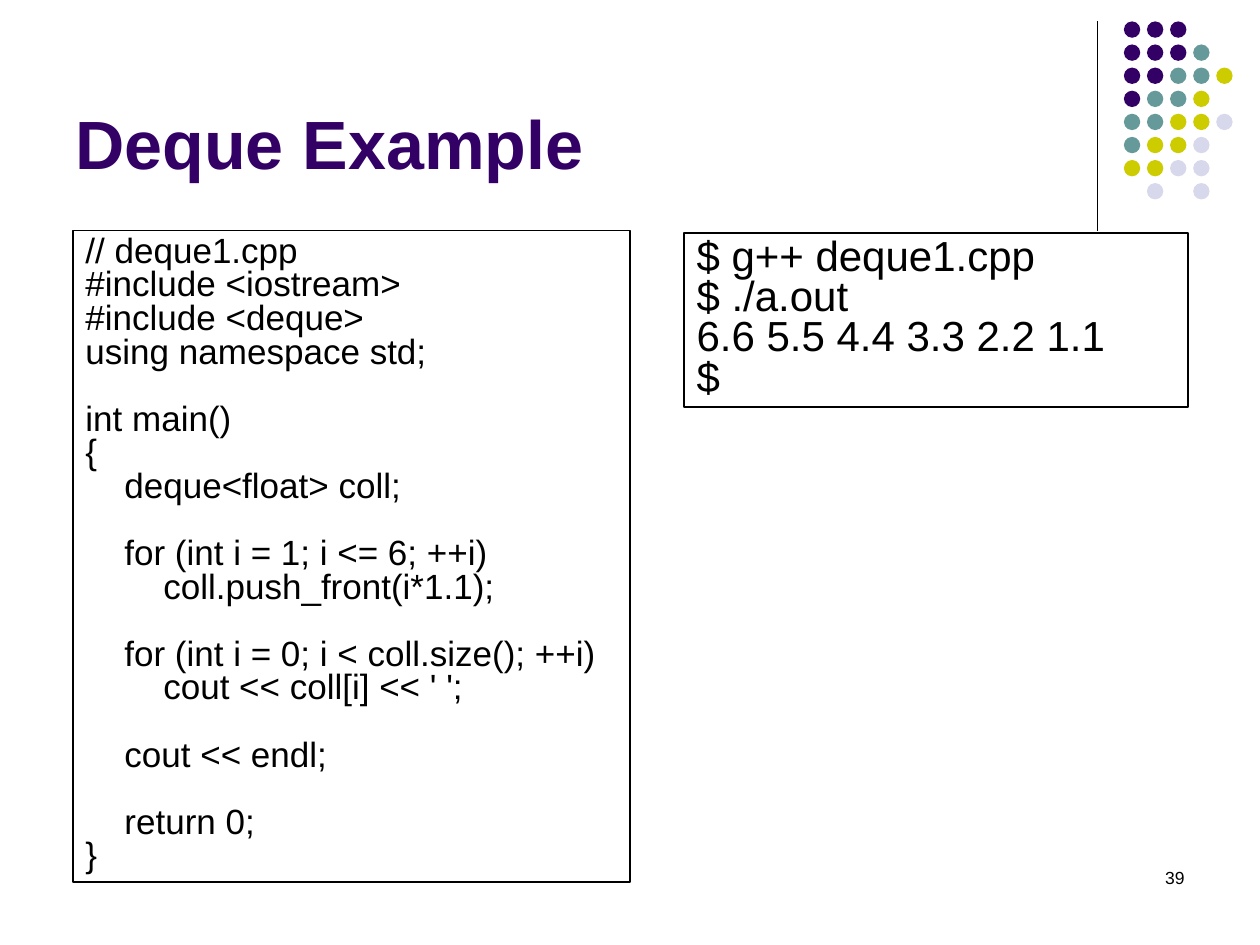
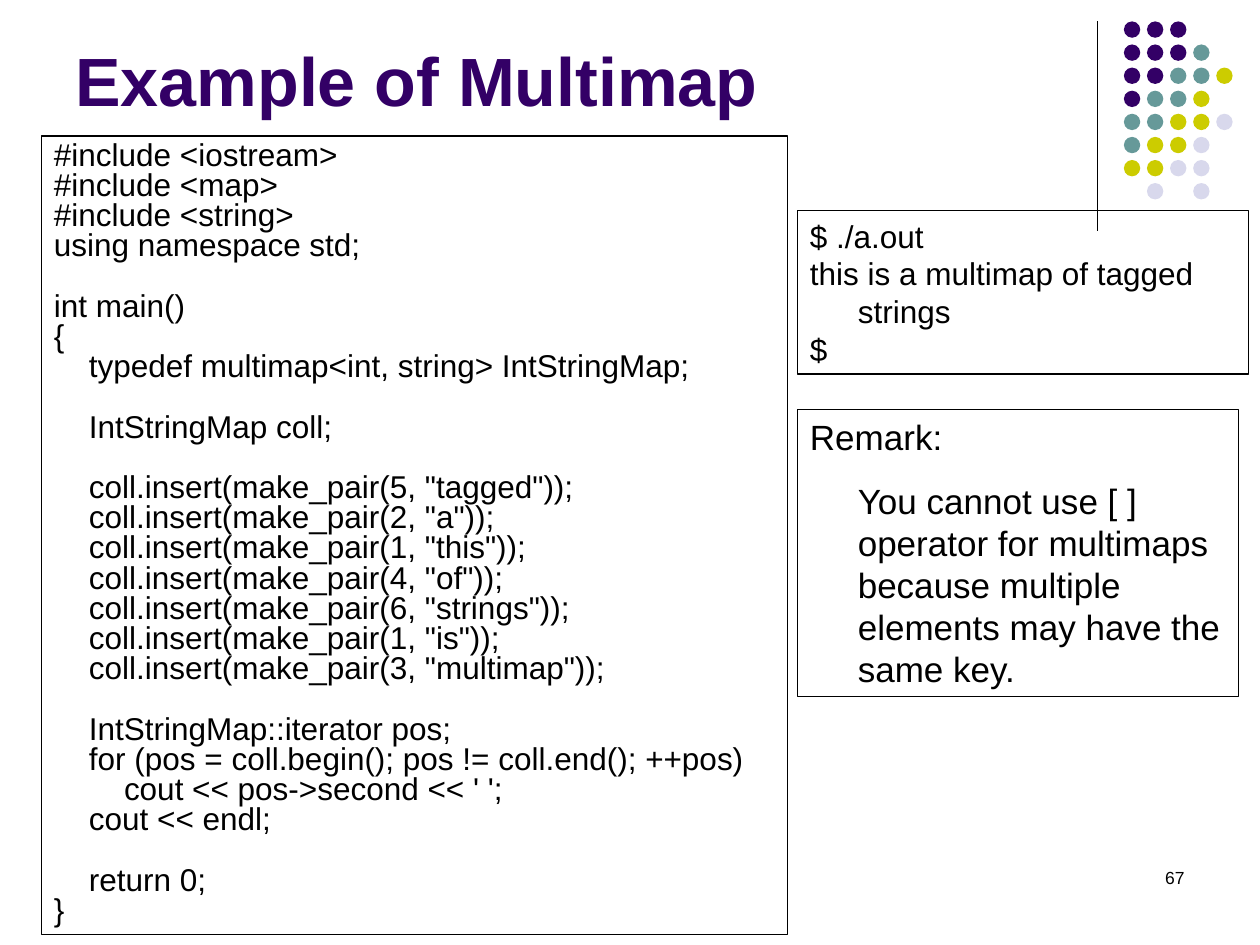
from lxml import etree
from pptx import Presentation
from pptx.dml.color import RGBColor
from pptx.enum.shapes import MSO_CONNECTOR, MSO_SHAPE
from pptx.enum.text import MSO_ANCHOR, PP_ALIGN
from pptx.oxml.ns import qn
from pptx.util import Inches, Pt

OVAL, RECTANGLE = MSO_SHAPE.OVAL, MSO_SHAPE.RECTANGLE
STRAIGHT = MSO_CONNECTOR.STRAIGHT
LEFT, RIGHT = PP_ALIGN.LEFT, PP_ALIGN.RIGHT
TOP, BOTTOM = MSO_ANCHOR.TOP, MSO_ANCHOR.BOTTOM

FONT = "Arial"
COLORS = {
    "text": "000000",
    "purple": "330066",
    "teal": "669999",
    "olive": "CCCC00",
    "lilac": "D8D8EC",
}

DOT_COLORS = {"P": "purple", "T": "teal", "O": "olive", "L": "lilac"}
DOT_ROWS = ["PPP", "PPPT", "PPTTO", "PTTO", "TTOOL", "TOOL", "OOLL", ".L.L"]
DOT_LEFT, DOT_TOP, DOT_SIZE = 8.92, 0.17, 0.13
DOT_STEP = 1.1 / 6

LINE_HEIGHT = 1.2  # single spacing, in multiples of the font size
TIGHT = 0.8
CODE_INDENT = 4 * 0.278  # width of four spaces, in multiples of the font size
HANGING = 0.38

# Code is a list of blocks set apart by one line; each line is (depth, text).
DEQUE_CODE = [
    [(0, "// deque1.cpp"), (0, "#include <iostream>"),
     (0, "#include <deque>"), (0, "using namespace std;")],
    [(0, "int main()"), (0, "{"), (1, "deque<float> coll;")],
    [(1, "for (int i = 1; i <= 6; ++i)"), (2, "coll.push_front(i*1.1);")],
    [(1, "for (int i = 0; i < coll.size(); ++i)"), (2, "cout << coll[i] << ' ';")],
    [(1, "cout << endl;")],
    [(1, "return 0;"), (0, "}")],
]
DEQUE_OUTPUT = [
    [(0, "$ g++ deque1.cpp"), (0, "$ ./a.out"),
     (0, "6.6 5.5 4.4 3.3 2.2 1.1"), (0, "$")],
]
MULTIMAP_CODE = [
    [(0, "#include <iostream>"), (0, "#include <map>"),
     (0, "#include <string>"), (0, "using namespace std;")],
    [(0, "int main()"), (0, "{"), (1, "typedef multimap<int, string> IntStringMap;")],
    [(1, "IntStringMap coll;")],
    [(1, 'coll.insert(make_pair(5, "tagged"));'),
     (1, 'coll.insert(make_pair(2, "a"));'),
     (1, 'coll.insert(make_pair(1, "this"));'),
     (1, 'coll.insert(make_pair(4, "of"));'),
     (1, 'coll.insert(make_pair(6, "strings"));'),
     (1, 'coll.insert(make_pair(1, "is"));'),
     (1, 'coll.insert(make_pair(3, "multimap"));')],
    [(1, "IntStringMap::iterator pos;"),
     (1, "for (pos = coll.begin(); pos != coll.end(); ++pos)"),
     (2, "cout << pos->second << ' ';"),
     (1, "cout << endl;")],
    [(1, "return 0;"), (0, "}")],
]
# Notes are (text, first-line offset) with a shared hanging indent.
MULTIMAP_OUTPUT = [
    ("$ ./a.out", -HANGING),
    ("this is a multimap of tagged strings", -HANGING),
    ("$", -HANGING),
]
REMARK = [
    ("Remark:", -HANGING),
    ("You cannot use [ ] operator for multimaps because multiple elements "
     "may have the same key.", 0),
]

SLIDES = [
    {
        "title": "Deque Example", "title_box": (0.5, 0.08, 8.25, 1.42), "number": "39",
        "code": [((0.58, 1.83, 4.42, 5.17), 20, DEQUE_CODE),
                 ((5.43, 1.85, 4, 1.38), 24, DEQUE_OUTPUT)],
        "notes": [],
    },
    {
        "title": "Example of Multimap", "title_box": (0.5, 0.13, 8.25, 0.87), "number": "67",
        "code": [((0.33, 1.08, 5.92, 6.34), 18, MULTIMAP_CODE)],
        "notes": [((6.33, 1.67, 3.58, 1.3), 18, 0, MULTIMAP_OUTPUT),
                  ((6.33, 3.25, 3.5, 2.28), 20, 12.5, REMARK)],
    },
]


def color(name):
    return RGBColor.from_string(COLORS[name])


def inches(box):
    return [Inches(length) for length in box]


def style(paragraph, text, size, color_name="text", bold=False, align=LEFT):
    paragraph.text = text
    paragraph.alignment = align
    font = paragraph.font
    font.name, font.size, font.bold = FONT, Pt(size), bold
    font.color.rgb = color(color_name)


def add_label(slide, box, text, size, anchor=TOP, **text_style):
    frame = slide.shapes.add_textbox(*inches(box)).text_frame
    frame.word_wrap = True
    frame.vertical_anchor = anchor
    style(frame.paragraphs[0], text, size, **text_style)


def add_panel(slide, box, size, spacing, lines):
    """Outlined box; each line is (text, left margin, first-line offset, points before)."""
    panel = slide.shapes.add_shape(RECTANGLE, *inches(box))
    panel.shadow.inherit = False
    panel.fill.background()
    panel.line.color.rgb = color("text")
    panel.line.width = Pt(0.75)
    frame = panel.text_frame
    frame.word_wrap = True
    frame.vertical_anchor = TOP
    for index, (text, margin, offset, before) in enumerate(lines):
        paragraph = frame.add_paragraph() if index else frame.paragraphs[0]
        style(paragraph, text, size)
        paragraph.line_spacing = Pt(size * LINE_HEIGHT * spacing)
        paragraph.space_before = Pt(before)
        properties = paragraph._p.get_or_add_pPr()
        properties.set("marL", str(Inches(margin)))
        properties.set("indent", str(Inches(offset)))


def add_code(slide, box, size, blocks):
    blank_line = size * LINE_HEIGHT * TIGHT
    lines = []
    for block_index, block in enumerate(blocks):
        for line_index, (depth, text) in enumerate(block):
            starts_block = block_index > 0 and line_index == 0
            lines.append((text, depth * CODE_INDENT * size / 72, 0,
                          blank_line if starts_block else 0))
    add_panel(slide, box, size, TIGHT, lines)


def add_notes(slide, box, size, before, notes):
    lines = [(text, HANGING, offset, before) for text, offset in notes]
    add_panel(slide, box, size, 1, lines)


def add_decoration(slide):
    line = slide.shapes.add_connector(STRAIGHT, *inches((8.71, 0.17, 8.71, 1.83)))
    line.line.color.rgb = color("text")
    line.line.width = Pt(0.75)
    etree.SubElement(line._element.spPr, qn("a:effectLst"))
    for row, codes in enumerate(DOT_ROWS):
        for column, code in enumerate(codes):
            if code not in DOT_COLORS:
                continue
            dot = slide.shapes.add_shape(OVAL, *inches((
                DOT_LEFT + column * DOT_STEP, DOT_TOP + row * DOT_STEP,
                DOT_SIZE, DOT_SIZE)))
            dot.shadow.inherit = False
            dot.fill.solid()
            dot.fill.fore_color.rgb = color(DOT_COLORS[code])
            dot.line.fill.background()


def main():
    presentation = Presentation()
    presentation.slide_width, presentation.slide_height = Inches(10), Inches(7.5)
    for content in SLIDES:
        slide = presentation.slides.add_slide(presentation.slide_layouts[6])
        add_decoration(slide)
        add_label(slide, (7.17, 6.83, 2.33, 0.5), content["number"], 10, align=RIGHT)
        add_label(slide, content["title_box"], content["title"], 39, BOTTOM,
                  color_name="purple", bold=True)
        for panel in content["code"]:
            add_code(slide, *panel)
        for panel in content["notes"]:
            add_notes(slide, *panel)
    presentation.save("out.pptx")


if __name__ == "__main__":
    main()
